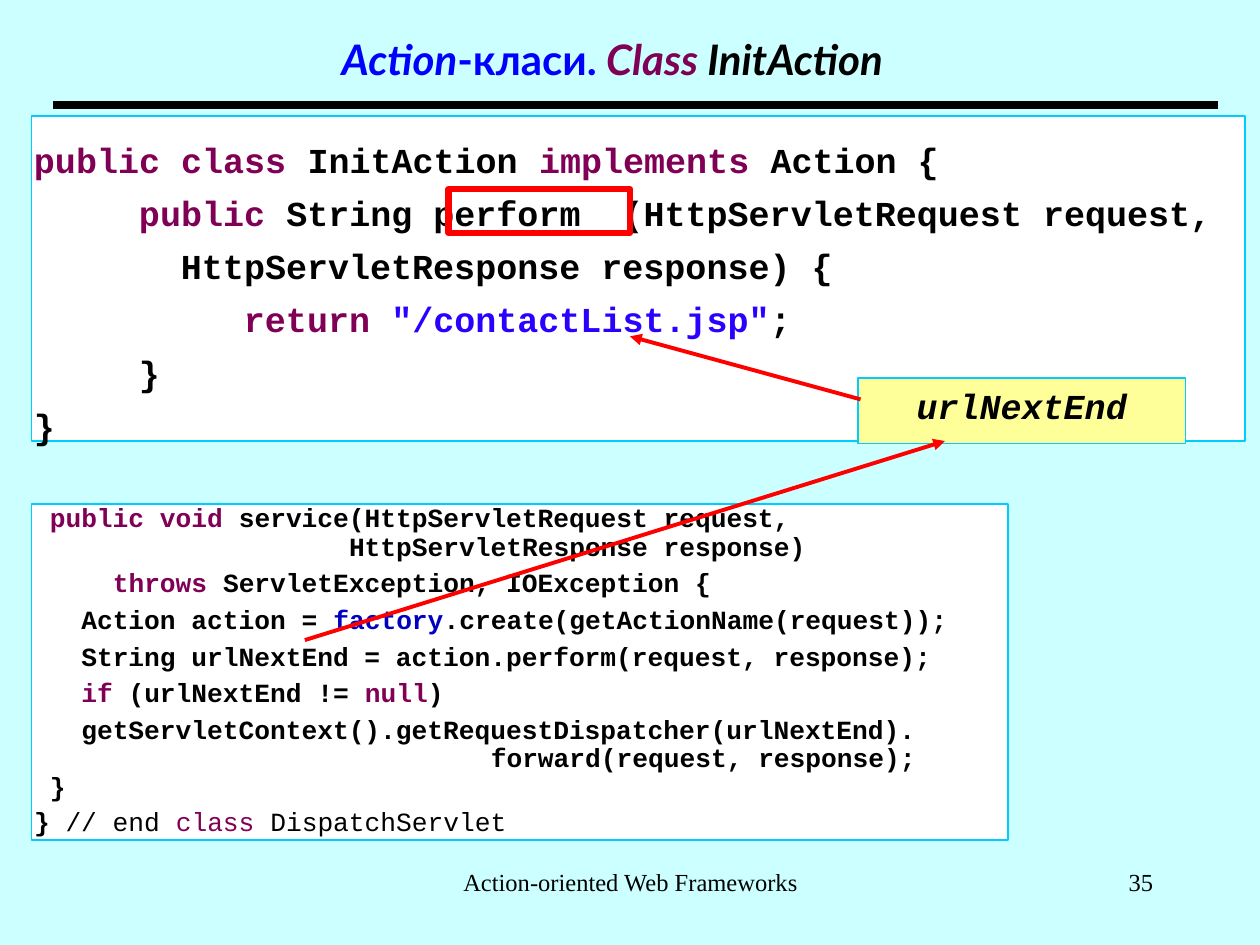
from lxml.etree import SubElement
from pptx import Presentation
from pptx.dml.color import RGBColor
from pptx.enum.shapes import MSO_CONNECTOR, MSO_SHAPE
from pptx.enum.text import MSO_ANCHOR, PP_ALIGN
from pptx.oxml.ns import qn
from pptx.util import Inches, Pt

BACKGROUND = RGBColor(0xCC, 0xFF, 0xFF)
WHITE = RGBColor(0xFF, 0xFF, 0xFF)
BLACK = RGBColor(0x00, 0x00, 0x00)
RED = RGBColor(0xFF, 0x00, 0x00)
YELLOW = RGBColor(0xFF, 0xFF, 0x99)
BORDER = RGBColor(0x00, 0xCC, 0xFF)
TITLE_BLUE = RGBColor(0x00, 0x00, 0xFF)
KEYWORD = RGBColor(0x7F, 0x00, 0x55)
STRING = RGBColor(0x2A, 0x00, 0xFF)
FIELD = RGBColor(0x00, 0x00, 0xC0)
CODE_FONT = "Courier New"


def add_run(paragraph, text, size, font, color=BLACK, bold=False, italic=False):
    run = paragraph.add_run()
    run.text = text
    run.font.size = Pt(size)
    run.font.name = font
    run.font.color.rgb = color
    run.font.bold = bold
    run.font.italic = italic


def add_box(left, top, width, height, fill, line, line_width):
    box = slide.shapes.add_shape(
        MSO_SHAPE.RECTANGLE, Inches(left), Inches(top), Inches(width), Inches(height))
    box.shadow.inherit = False
    if fill is None:
        box.fill.background()
    else:
        box.fill.solid()
        box.fill.fore_color.rgb = fill
    box.line.color.rgb = line
    box.line.width = Pt(line_width)
    box.text_frame.word_wrap = True
    box.text_frame.vertical_anchor = MSO_ANCHOR.TOP
    return box


presentation = Presentation()
presentation.slide_width = Inches(10)
presentation.slide_height = Inches(7.5)
slide = presentation.slides.add_slide(presentation.slide_layouts[5])
slide.background.fill.solid()
slide.background.fill.fore_color.rgb = BACKGROUND

# Title
title = slide.shapes.title
title.left, title.top = Inches(0), Inches(0)
title.width, title.height = Inches(9.72), Inches(0.93)
title.text_frame.vertical_anchor = MSO_ANCHOR.MIDDLE
paragraph = title.text_frame.paragraphs[0]
paragraph.alignment = PP_ALIGN.CENTER
for text, color, italic in [
    ("Action", TITLE_BLUE, True),
    ("-класи.", TITLE_BLUE, False),
    (" Class", KEYWORD, True),
    (" InitAction", BLACK, True),
]:
    add_run(paragraph, text, 24, "Lato", color, bold=True, italic=italic)

# Code panels; each line: indent in characters, line spacing, space before, runs
action_lines = [
    (0, 1.5, 5, [("public class", KEYWORD), (" InitAction ", BLACK),
                 ("implements", KEYWORD), (" Action {", BLACK)]),
    (5, 1, 6.4, [("public", KEYWORD),
                 (" String perform  (HttpServletRequest request,", BLACK)]),
    (7, 1, 6.4, [("HttpServletResponse response) {", BLACK)]),
    (10, 1, 6.4, [("return ", KEYWORD), ('"/contactList.jsp"', STRING), (";", BLACK)]),
    (5, 1, 6.4, [("}", BLACK)]),
    (0, 1, 6.4, [("}", BLACK)]),
]
servlet_lines = [
    (1, 0.9, 3.7, [("public void", KEYWORD),
                   (" service(HttpServletRequest request,", BLACK)]),
    (20, 0.9, 0, [("HttpServletResponse response)", BLACK)]),
    (5, 0.9, 4.7, [("throws", KEYWORD), (" ServletException, IOException {", BLACK)]),
    (3, 0.9, 4.7, [("Action action = ", BLACK), ("factory", FIELD),
                   (".create(getActionName(request));", BLACK)]),
    (3, 0.9, 4.7, [("String urlNextEnd = action.perform(request, response);", BLACK)]),
    (3, 0.9, 4.7, [("if", KEYWORD), (" (urlNextEnd != ", BLACK),
                   ("null", KEYWORD), (")", BLACK)]),
    (3, 0.9, 4.7, [("getServletContext().getRequestDispatcher(urlNextEnd).", BLACK)]),
    (29, 0.9, 0, [("forward(request, response);", BLACK)]),
    (1, 0.6, 4.7, [("}", BLACK)]),
    (0, 0.9, 4.7, [("} ", BLACK), ("// end ", BLACK), ("class", KEYWORD),
                   (" DispatchServlet", BLACK)]),
]
for left, top, width, height, size, lines in [
    (0.25, 0.92, 9.63, 2.58, 20, action_lines),
    (0.25, 4, 7.75, 2.67, 15, servlet_lines),
]:
    frame = add_box(left, top, width, height, WHITE, BORDER, 1).text_frame
    frame.margin_left, frame.margin_right = Inches(0.02), Inches(0)
    frame.margin_top = frame.margin_bottom = Inches(0.01)
    character_width = Pt(size * 0.6)
    for index, (indent, spacing, before, runs) in enumerate(lines):
        paragraph = frame.add_paragraph() if index else frame.paragraphs[0]
        paragraph.alignment = PP_ALIGN.LEFT
        paragraph.line_spacing = spacing
        paragraph.space_before = Pt(before)
        properties = paragraph._p.get_or_add_pPr()
        properties.set("marL", str(indent * character_width))
        properties.set("indent", "0")
        in_comment = False
        for text, color in runs:
            in_comment = in_comment or text.startswith("//")
            add_run(paragraph, text, size, CODE_FONT, color, bold=not in_comment)

# Marked method name and the value it returns
add_box(3.56, 1.5, 1.44, 0.35, None, RED, 3.5)
url_label = add_box(6.81, 3, 2.6, 0.52, YELLOW, BORDER, 1)
paragraph = url_label.text_frame.paragraphs[0]
paragraph.alignment = PP_ALIGN.CENTER
paragraph.space_before = Pt(5)
add_run(paragraph, "urlNextEnd", 20, CODE_FONT, bold=True, italic=True)

# Title rule and arrows
for start_x, start_y, end_x, end_y, color, width, has_arrow in [
    (0.42, 0.83, 9.67, 0.83, BLACK, 4.5, False),
    (6.83, 3.17, 5, 2.67, RED, 2.25, True),
    (2.42, 5.08, 7.5, 3.5, RED, 2.25, True),
]:
    connector = slide.shapes.add_connector(
        MSO_CONNECTOR.STRAIGHT, Inches(start_x), Inches(start_y), Inches(end_x), Inches(end_y))
    connector.line.color.rgb = color
    connector.line.width = Pt(width)
    if has_arrow:
        SubElement(connector.line._get_or_add_ln(), qn("a:tailEnd"), type="triangle")
    SubElement(connector._element.spPr, qn("a:effectLst"))

# Footer and slide number
for left, width, text, alignment in [
    (3.42, 3.17, "Action-oriented Web Frameworks", PP_ALIGN.CENTER),
    (7.17, 2.08, "35", PP_ALIGN.RIGHT),
]:
    footer = slide.shapes.add_textbox(Inches(left), Inches(6.83), Inches(width), Inches(0.5))
    footer.text_frame.word_wrap = True
    paragraph = footer.text_frame.paragraphs[0]
    paragraph.alignment = alignment
    add_run(paragraph, text, 14, "Times New Roman")

presentation.save("out.pptx")
